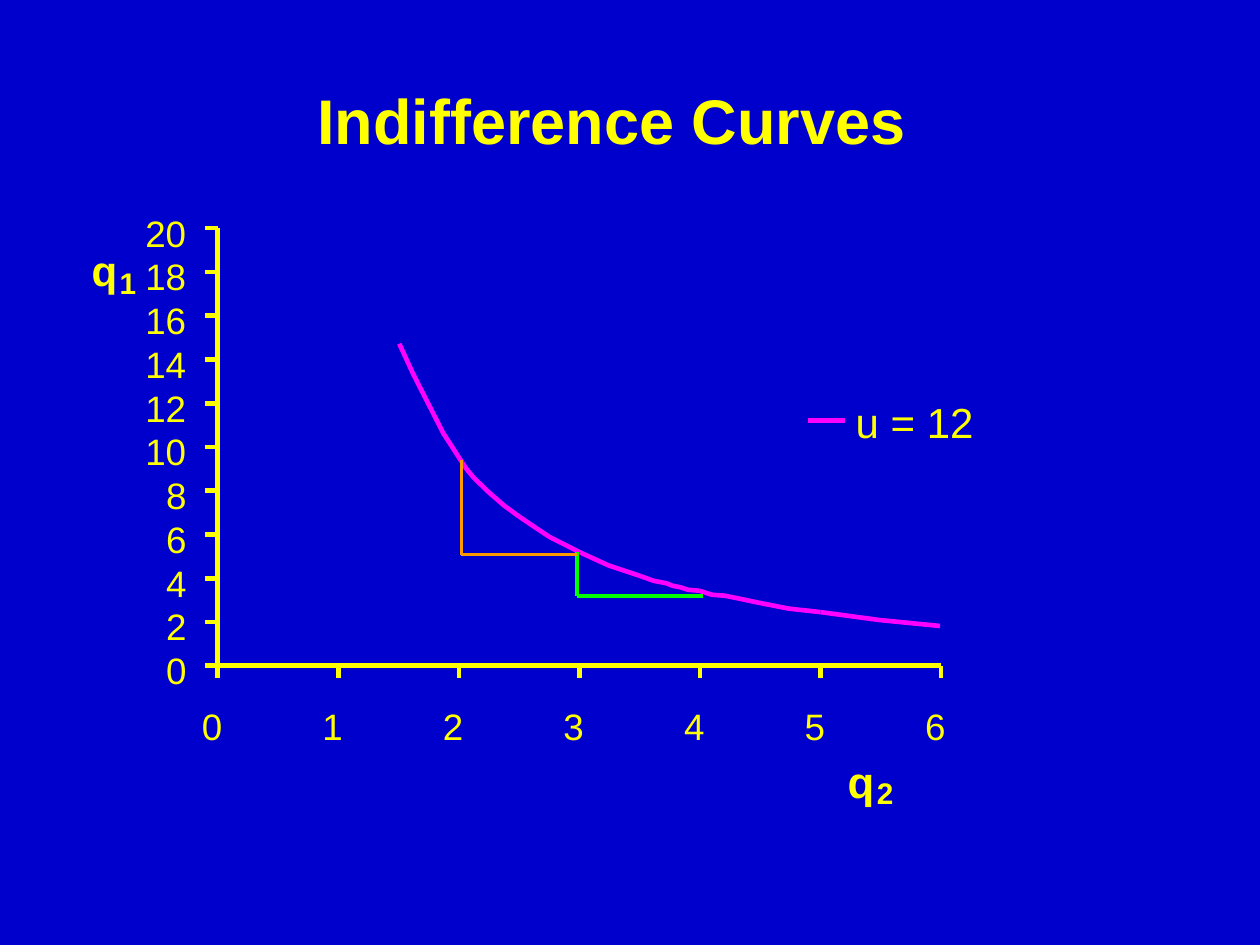
from dataclasses import dataclass

from lxml.etree import SubElement
from pptx import Presentation
from pptx.dml.color import RGBColor
from pptx.enum.shapes import MSO_CONNECTOR as Connector
from pptx.enum.text import MSO_AUTO_SIZE as AutoSize
from pptx.oxml.ns import qn
from pptx.util import Cm, Pt

COLORS = {
    "background": "0000CC",
    "axis": "FFFF00",
    "curve": "FF00FF",
    "first_step": "FF9900",
    "second_step": "00FF00",
}
AXIS_LEFT, AXIS_RIGHT = 4.39, 18.97
AXIS_TOP, AXIS_BOTTOM = 4.6, 13.42
TICK = 0.25
X_MAX, Y_MAX, Y_STEP = 6, 20, 2
DIGIT_WIDTH, LABEL_HEIGHT = 0.42, 0.89
AXIS_WEIGHT, STEP_WEIGHT = 2.64, 2

Point = tuple[float, float]


@dataclass
class Label:
    text: str
    left: float
    top: float
    width: float
    height: float
    size: float
    bold: bool = False


@dataclass
class Step:
    color: str
    right: Point
    corner: Point
    top: Point


LABELS = [
    Label("Indifference Curves", 6.4, 1.65, 11.86, 1.52, 36, True),
    Label("q", 17.09, 15.21, 0.53, 1.07, 25, True),
    Label("2", 17.68, 15.62, 0.33, 0.71, 17, True),
    Label("q", 1.85, 4.93, 0.51, 1.02, 24, True),
    Label("1", 2.41, 5.33, 0.33, 0.71, 17, True),
]
LEGEND = Label("u = 12", 17.25, 8, 2.39, 1.02, 24)
CURVE_PIECES = [
    [(8.05, 6.93), (8.33, 7.54), (8.64, 8.15), (8.94, 8.74), (9.09, 8.97), (9.25, 9.22)],
    [(9.25, 9.22), (9.4, 9.45), (9.55, 9.63), (9.86, 9.93), (10.16, 10.19), (10.46, 10.41)],
    [(10.46, 10.41), (10.8, 10.64), (11.07, 10.82), (11.68, 11.13)],
    [(11.68, 11.13), (12.27, 11.4), (12.9, 11.61)],
    [(12.9, 11.61), (13.18, 11.71), (13.44, 11.76), (13.56, 11.81), (13.72, 11.84),
     (13.87, 11.89), (14.1, 11.91)],
    [(14.1, 11.91), (14.35, 11.99), (14.61, 12.01), (14.91, 12.07), (15.24, 12.14),
     (15.9, 12.27), (16.54, 12.34)],
    [(16.54, 12.34), (17.73, 12.5), (18.95, 12.62)],
]
STEPS = [
    Step("second_step", (14.17, 12.01), (11.63, 12.01), (11.63, 11.13)),
    Step("first_step", (11.63, 11.18), (9.3, 11.18), (9.3, 9.27)),
]


def rgb(name: str) -> RGBColor:
    return RGBColor.from_string(COLORS[name])


def draw_line(shapes, start: Point, end: Point, color: str, weight: float) -> None:
    line = shapes.add_connector(Connector.STRAIGHT, *map(Cm, start + end))
    line.line.color.rgb = rgb(color)
    line.line.width = Pt(weight)
    SubElement(line._element.spPr, qn("a:effectLst"))


def draw_label(shapes, label: Label) -> None:
    box = shapes.add_textbox(*map(Cm, (label.left, label.top, label.width, label.height)))
    frame = box.text_frame
    frame.margin_left = frame.margin_right = frame.margin_top = frame.margin_bottom = 0
    frame.word_wrap = False
    frame.auto_size = AutoSize.SHAPE_TO_FIT_TEXT
    para = frame.paragraphs[0]
    para.text = label.text
    para.font.name = "Arial"
    para.font.size = Pt(label.size)
    para.font.bold = label.bold
    para.font.color.rgb = rgb("axis")


def draw_curve_piece(shapes, points: list[Point]) -> None:
    start, *rest = [(Cm(x), Cm(y)) for x, y in points]
    builder = shapes.build_freeform(*start)
    builder.add_line_segments(rest, close=False)
    piece = builder.convert_to_shape()
    piece.shadow.inherit = False
    piece.fill.background()
    piece.line.color.rgb = rgb("curve")
    piece.line.width = Pt(AXIS_WEIGHT)


def draw_y_axis(shapes) -> None:
    draw_line(shapes, (AXIS_LEFT, AXIS_TOP), (AXIS_LEFT, AXIS_BOTTOM), "axis", AXIS_WEIGHT)
    for value in range(0, Y_MAX + 1, Y_STEP):
        y = AXIS_BOTTOM - value * (AXIS_BOTTOM - AXIS_TOP) / Y_MAX
        draw_line(shapes, (AXIS_LEFT - TICK, y), (AXIS_LEFT, y), "axis", AXIS_WEIGHT)
        width = DIGIT_WIDTH * len(str(value))
        left = AXIS_LEFT - 0.62 - width
        draw_label(shapes, Label(str(value), left, y - 0.36, width, LABEL_HEIGHT, 21))


def draw_x_axis(shapes) -> None:
    draw_line(shapes, (AXIS_LEFT, AXIS_BOTTOM), (AXIS_RIGHT, AXIS_BOTTOM), "axis", AXIS_WEIGHT)
    for value in range(X_MAX + 1):
        x = AXIS_LEFT + value * (AXIS_RIGHT - AXIS_LEFT) / X_MAX
        draw_line(shapes, (x, AXIS_BOTTOM + TICK), (x, AXIS_BOTTOM), "axis", AXIS_WEIGHT)
        draw_label(shapes, Label(str(value), x - 0.32, 14.19, DIGIT_WIDTH, LABEL_HEIGHT, 21))


def draw_curve(shapes) -> None:
    for points in CURVE_PIECES:
        draw_curve_piece(shapes, points)
    draw_line(shapes, (16.28, 8.48), (17.04, 8.48), "curve", AXIS_WEIGHT)
    draw_label(shapes, LEGEND)


def draw_step(shapes, step: Step) -> None:
    draw_line(shapes, step.right, step.corner, step.color, STEP_WEIGHT)
    draw_line(shapes, step.corner, step.top, step.color, STEP_WEIGHT)


def main() -> None:
    """Build the indifference curve slide."""
    deck = Presentation()
    deck.slide_width, deck.slide_height = Cm(25.4), Cm(19.05)
    page = deck.slides.add_slide(deck.slide_layouts[6])
    page.background.fill.solid()
    page.background.fill.fore_color.rgb = rgb("background")
    draw_y_axis(page.shapes)
    draw_x_axis(page.shapes)
    for label in LABELS:
        draw_label(page.shapes, label)
    draw_curve(page.shapes.add_group_shape().shapes)
    for step in STEPS:
        draw_step(page.shapes.add_group_shape().shapes, step)
    deck.save("out.pptx")


if __name__ == "__main__":
    main()
